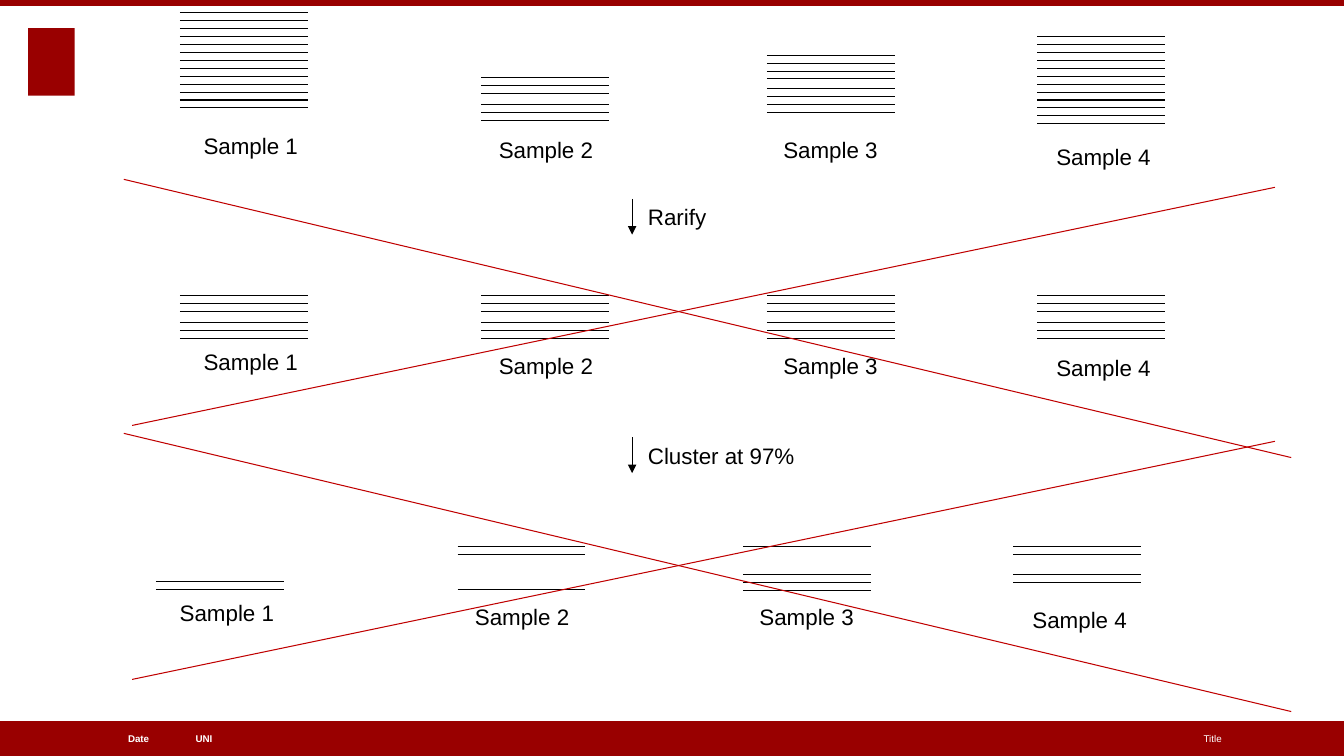
from pptx import Presentation
from pptx.dml.color import RGBColor
from pptx.enum.shapes import MSO_CONNECTOR, MSO_SHAPE
from pptx.enum.text import MSO_ANCHOR, MSO_AUTO_SIZE, PP_ALIGN
from pptx.oxml.ns import qn
from pptx.util import Cm, Pt
from lxml import etree

LEFT, RIGHT = PP_ALIGN.LEFT, PP_ALIGN.RIGHT
TOP, MIDDLE = MSO_ANCHOR.TOP, MSO_ANCHOR.MIDDLE
GROW, FIXED = MSO_AUTO_SIZE.SHAPE_TO_FIT_TEXT, MSO_AUTO_SIZE.NONE
RECT, STRAIGHT = MSO_SHAPE.RECTANGLE, MSO_CONNECTOR.STRAIGHT

theme = {
    "font": "Arial",
    "label": 16,
    "footer": 7,
    "ink": RGBColor.from_string("000000"),
    "paper": RGBColor.from_string("FFFFFF"),
    "brand": RGBColor.from_string("990000"),
    "cross": RGBColor.from_string("C00000"),
    "line": 0.75,
}

prs = Presentation()
prs.slide_width, prs.slide_height = Cm(33.87), Cm(19.05)
slide = prs.slides.add_slide(prs.slide_layouts[6])


def add_text(text, x, y, w, h=0.69, size=theme["label"], color=theme["ink"],
             bold=False, align=LEFT, anchor=TOP, wrap=False):
    sp = slide.shapes.add_textbox(Cm(x), Cm(y), Cm(w), Cm(h))
    tf = sp.text_frame
    tf.margin_left = tf.margin_right = tf.margin_top = tf.margin_bottom = 0
    tf.word_wrap = wrap
    tf.auto_size = FIXED if wrap else GROW
    tf.vertical_anchor = anchor
    p = tf.paragraphs[0]
    p.alignment = align
    r = p.add_run()
    r.text = text
    r.font.name, r.font.size, r.font.bold = theme["font"], Pt(size), bold
    r.font.color.rgb = color


def add_line(x1, y1, x2, y2, color=theme["ink"], arrow=False):
    sp = slide.shapes.add_connector(STRAIGHT, Cm(x1), Cm(y1), Cm(x2), Cm(y2))
    sp.line.color.rgb = color
    sp.line.width = Pt(theme["line"])
    if arrow:
        ln = sp.line._get_or_add_ln()
        etree.SubElement(ln, qn("a:tailEnd"), type="triangle")
    etree.SubElement(sp._element.spPr, qn("a:effectLst"))


logo_mark = (0.71, 0.71, 1.17, 1.7)
footer_bar = (0, 18.17, 33.87, 0.88)
top_bar = (0, 0, 33.87, 0.15)
for x, y, w, h in (logo_mark, footer_bar, top_bar):
    sp = slide.shapes.add_shape(RECT, Cm(x), Cm(y), Cm(w), Cm(h))
    sp.shadow.inherit = False
    sp.fill.solid()
    sp.fill.fore_color.rgb = theme["brand"]
    sp.line.fill.background()

for text, x, w, bold, align in (
    ("UNI", 4.93, 9.45, True, LEFT),
    ("Date", 0.69, 3.07, True, RIGHT),
    ("Title", 15.52, 15.27, False, RIGHT),
):
    add_text(text, x, 18.17, w, 0.88, size=theme["footer"], color=theme["paper"],
             bold=bold, align=align, anchor=MIDDLE, wrap=True)

read_width, read_pitch = 3.22, 0.2
read_x = (4.53, 12.13, 19.33, 26.14)
label_x = (5.13, 12.57, 19.74, 26.62)

# Each sample lists its blocks of reads as (top, count).
stages = (
    {"shift": 0, "label_y": (3.33, 3.43, 3.43, 3.61),
     "reads": (((0.32, 13),), ((1.95, 3), (2.63, 3)),
               ((1.39, 4), (2.23, 4)), ((0.92, 12),))},
    {"shift": 0, "label_y": (8.77, 8.88, 8.88, 8.92),
     "reads": (((7.44, 3), (8.13, 3)),) * 4},
    {"shift": -0.6, "label_y": (15.11, 15.21, 15.21, 15.27),
     "reads": (((14.66, 2),), ((13.78, 2), (14.86, 1)),
               ((13.78, 1), (14.47, 3)), ((13.78, 2), (14.47, 2)))},
)
for stage in stages:
    for i, blocks in enumerate(stage["reads"]):
        x = read_x[i] + stage["shift"]
        for top, count in blocks:
            for n in range(count):
                y = top + n * read_pitch
                add_line(x, y, x + read_width, y)
        add_text(f"Sample {i + 1}", label_x[i] + stage["shift"], stage["label_y"][i], 2.41)

for step, y, w in (("Rarify", 5.01, 1.5), ("Cluster at 97%", 11.02, 3.73)):
    add_line(15.93, y, 15.93, y + 0.9, arrow=True)
    add_text(step, 16.33, y + 0.11, w)

for dy in (6.4, 0):
    add_line(3.12, 4.52 + dy, 32.54, 11.53 + dy, color=theme["cross"])
    add_line(32.13, 4.72 + dy, 3.33, 10.72 + dy, color=theme["cross"])

prs.save("out.pptx")
